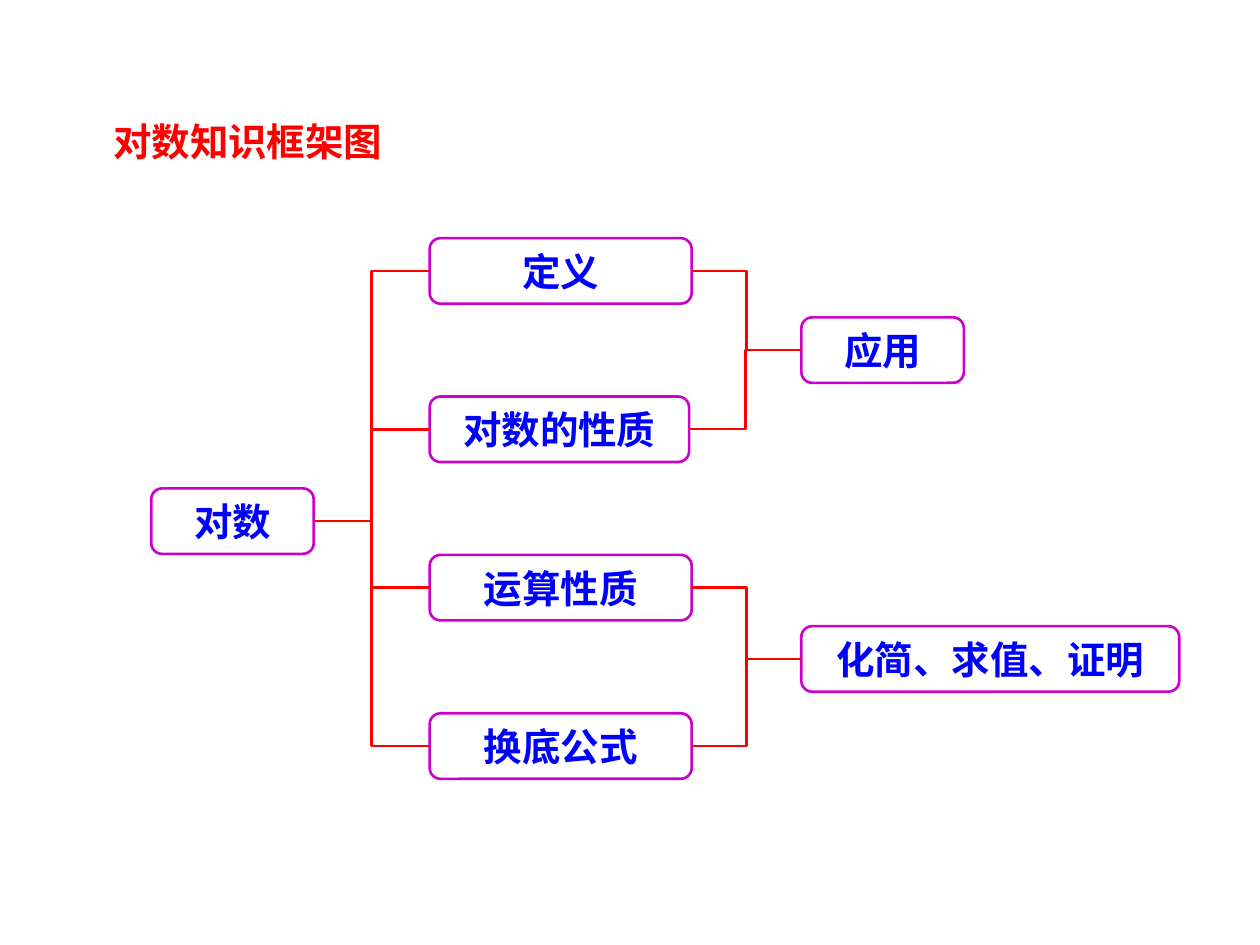
from dataclasses import dataclass

import pptx
import pptx.dml.color
import pptx.enum.shapes
import pptx.enum.text
import pptx.oxml.ns
import pptx.util
from lxml import etree

Inches = pptx.util.Inches
RGBColor = pptx.dml.color.RGBColor


@dataclass(frozen=True)
class Theme:
    font: str = "Noto Sans CJK SC"
    text_size: float = 22
    line_width: float = 1.5
    title: RGBColor = RGBColor(0xFF, 0x00, 0x00)
    label: RGBColor = RGBColor(0x00, 0x00, 0xFF)
    border: RGBColor = RGBColor(0xCC, 0x00, 0xCC)
    link: RGBColor = RGBColor(0xFF, 0x00, 0x00)


@dataclass(frozen=True)
class Node:
    """A topic box; row may fall between grid rows."""
    text: str
    column: int
    row: float
    width: float


THEME = Theme()
COLUMN_LEFTS = (1.2, 3.41, 6.36)
FIRST_ROW_TOP = 1.89
ROW_PITCH = 1.257
NODE_HEIGHT = 0.52

ROOT = Node("对数", 0, 1.58, 1.29)
DEFINITION = Node("定义", 1, 0, 2.08)
PROPERTIES = Node("对数的性质", 1, 1, 2.06)
OPERATIONS = Node("运算性质", 1, 2, 2.08)
BASE_CHANGE = Node("换底公式", 1, 3, 2.08)
APPLICATION = Node("应用", 2, 0.5, 1.29)
USES = Node("化简、求值、证明", 2, 2.45, 3)

BRANCHES = (DEFINITION, PROPERTIES, OPERATIONS, BASE_CHANGE)
NODES = (ROOT, *BRANCHES, APPLICATION, USES)
LINKS = (
    *((ROOT, branch) for branch in BRANCHES),
    (DEFINITION, APPLICATION),
    (PROPERTIES, APPLICATION),
    (OPERATIONS, USES),
    (BASE_CHANGE, USES),
)


def write_text(shape, text: str, color: RGBColor) -> None:
    shape.text_frame.text = text
    run = shape.text_frame.paragraphs[0].runs[0]
    run.font.size = pptx.util.Pt(THEME.text_size)
    run.font.bold = True
    run.font.name = THEME.font
    run.font.color.rgb = color
    east_asian = etree.SubElement(run.font._element, pptx.oxml.ns.qn("a:ea"))
    east_asian.set("typeface", THEME.font)


def draw_line(line, color: RGBColor) -> None:
    line.color.rgb = color
    line.width = pptx.util.Pt(THEME.line_width)


def add_title(slide, text: str) -> None:
    box = slide.shapes.add_textbox(
        Inches(0.8), Inches(0.89), Inches(4.82), Inches(0.47))
    box.text_frame.word_wrap = True
    write_text(box, text, THEME.title)


def add_node(slide, node: Node):
    shape = slide.shapes.add_shape(
        pptx.enum.shapes.MSO_SHAPE.FLOWCHART_ALTERNATE_PROCESS,
        Inches(COLUMN_LEFTS[node.column]),
        Inches(FIRST_ROW_TOP + node.row * ROW_PITCH),
        Inches(node.width), Inches(NODE_HEIGHT))
    shape.shadow.inherit = False
    shape.fill.background()
    draw_line(shape.line, THEME.border)
    write_text(shape, node.text, THEME.label)
    shape.text_frame.vertical_anchor = pptx.enum.text.MSO_ANCHOR.MIDDLE
    shape.text_frame.paragraphs[0].alignment = pptx.enum.text.PP_ALIGN.CENTER
    return shape


def add_link(slide, source, target) -> None:
    """Join the right side of source to the left side of target."""
    connector = slide.shapes.add_connector(
        pptx.enum.shapes.MSO_CONNECTOR.ELBOW,
        source.left + source.width, source.top + source.height // 2,
        target.left, target.top + target.height // 2)
    connector.begin_connect(source, 3)
    connector.end_connect(target, 1)
    draw_line(connector.line, THEME.link)
    etree.SubElement(connector._element.spPr, pptx.oxml.ns.qn("a:effectLst"))


def main() -> None:
    presentation = pptx.Presentation()
    presentation.slide_width = Inches(10)
    presentation.slide_height = Inches(7.5)
    slide = presentation.slides.add_slide(presentation.slide_layouts[6])

    shapes = {node: add_node(slide, node) for node in NODES}
    for source, target in LINKS:
        add_link(slide, shapes[source], shapes[target])
    add_title(slide, "对数知识框架图")
    presentation.save("out.pptx")


if __name__ == "__main__":
    main()
